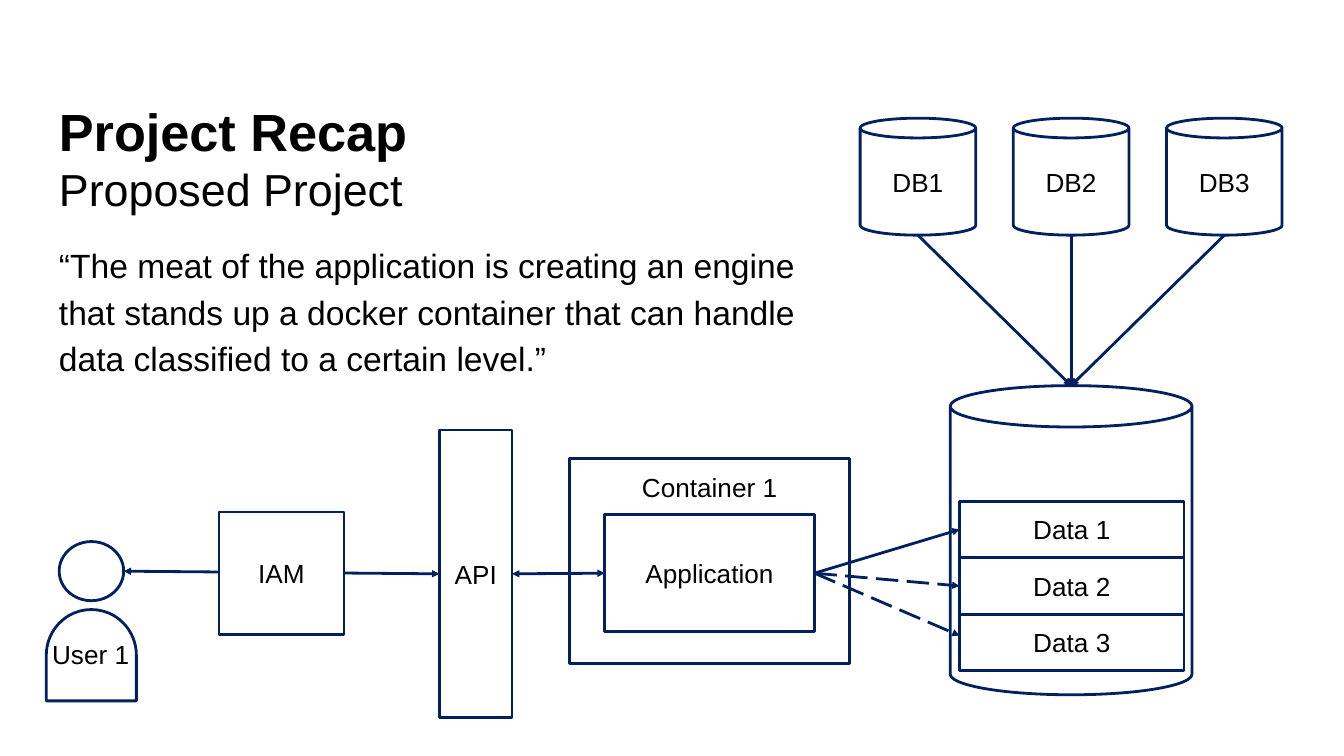
from collections import namedtuple
from dataclasses import dataclass

from lxml import etree
from pptx import Presentation
from pptx import util as u
from pptx.dml.color import RGBColor
from pptx.enum import dml, shapes, text
from pptx.oxml import ns

Point = namedtuple("Point", "x y")


@dataclass(frozen=True)
class Theme:
    navy: RGBColor = RGBColor(0x00, 0x20, 0x60)
    white: RGBColor = RGBColor(0xFF, 0xFF, 0xFF)
    black: RGBColor = RGBColor(0, 0, 0)
    font: str = "Arial"
    title: int = 28
    subtitle: int = 24
    body: int = 18
    label: int = 14
    stroke: float = 1.5
    inset: float = 0.1


THEME = Theme()
KIND = shapes.MSO_SHAPE
TOP, MIDDLE = text.MSO_ANCHOR.TOP, text.MSO_ANCHOR.MIDDLE
LEFT, CENTER = text.PP_ALIGN.LEFT, text.PP_ALIGN.CENTER


@dataclass(frozen=True)
class Box:
    x: float
    y: float
    w: float
    h: float

    def inner(self, dx, dy, w, h):
        return Box(self.x + dx, self.y + dy, w, h)

    def at(self, fx, fy):
        return Point(self.x + fx * self.w, self.y + fy * self.h)

    def emu(self):
        return [u.Inches(v) for v in (self.x, self.y, self.w, self.h)]


def set_all(target, values):
    for name, value in values.items():
        setattr(target, name, value)


def style_line(line, dash=None):
    line.color.rgb = THEME.navy
    set_all(line, {"width": u.Pt(THEME.stroke), "dash_style": dash})


def write(sp, runs, anchor=MIDDLE, align=CENTER, spacing=None):
    tf = sp.text_frame
    margin = u.Inches(THEME.inset)
    set_all(tf, {"word_wrap": True, "vertical_anchor": anchor,
                 "margin_left": margin, "margin_right": margin,
                 "margin_top": margin, "margin_bottom": margin})
    p = tf.paragraphs[0]
    set_all(p, {"alignment": align, "line_spacing": spacing})
    for i, (words, size, bold) in enumerate(runs):
        if i:
            p.add_line_break()
        r = p.add_run()
        r.text = words
        set_all(r.font, {"name": THEME.font, "size": u.Pt(size), "bold": bold})
        r.font.color.rgb = THEME.black


def add_text(s, box, runs, **layout):
    write(s.shapes.add_textbox(*box.emu()), runs, **layout)


def add_node(s, kind, box, label=None, anchor=MIDDLE):
    sp = s.shapes.add_shape(kind, *box.emu())
    sp.shadow.inherit = False
    sp.fill.solid()
    sp.fill.fore_color.rgb = THEME.white
    style_line(sp.line)
    if kind == KIND.CAN:
        sp.adjustments[0] = 0.171
    if label:
        write(sp, [(label, THEME.label, False)], anchor)
    return sp


def add_arrow(s, start, end, both=False, dash=None):
    ends = [u.Inches(v) for v in (*start, *end)]
    line = s.shapes.add_connector(shapes.MSO_CONNECTOR.STRAIGHT, *ends)
    style_line(line.line, dash)
    ln = line.line._get_or_add_ln()
    for tag in ("a:headEnd", "a:tailEnd") if both else ("a:tailEnd",):
        etree.SubElement(ln, ns.qn(tag), type="triangle", w="sm", len="sm")
    etree.SubElement(line._element.spPr, ns.qn("a:effectLst"))


def add_heading(s, box):
    add_text(s, box.inner(0, 0, box.w, 0.96),
             [("Project Recap", THEME.title, True),
              ("Proposed Project", THEME.subtitle, False)],
             anchor=TOP, align=LEFT)
    quote = ("“The meat of the application is creating an engine that stands up "
             "a docker container that can handle data classified to a certain level.”")
    add_text(s, box.inner(0, 1.04, 5.98, 1.18), [(quote, THEME.body, False)],
             anchor=TOP, align=LEFT, spacing=1.15)


def add_user(s, box):
    torso = add_node(s, KIND.FLOWCHART_DELAY, box.inner(0.13, 0.51, 0.68, 0.67))
    torso.rotation = 270
    head = box.inner(0.23, 0, 0.48, 0.44)
    add_node(s, KIND.OVAL, head)
    add_text(s, box.inner(0, 0.62, box.w, 0.47),
             [("User 1", THEME.label, False)], anchor=TOP)
    return head.at(1, 0.5)


def add_pipeline(s, box, user):
    container = box.inner(2.61, 0.21, 2.08, 1.53)
    application = container.inner(0.26, 0.42, 1.56, 0.87)
    api = box.inner(1.64, 0, 0.54, box.h)
    add_node(s, KIND.RECTANGLE, container, "Container 1", TOP)
    add_node(s, KIND.RECTANGLE, api, "API")
    add_node(s, KIND.RECTANGLE, application, "Application")
    add_arrow(s, user, api.at(0, 0.5), both=True)
    add_node(s, KIND.RECTANGLE, box.inner(0, 0.61, 0.93, 0.91), "IAM")
    add_arrow(s, api.at(1, 0.5), application.at(0, 0.5), both=True)
    return application.at(1, 0.5)


def add_store(s, box, application):
    add_node(s, KIND.CAN, box)
    dash = dml.MSO_LINE.LONG_DASH
    row_h = 0.42
    links = [(0.5, None), (0.5, dash), (0.38, dash)]
    for i, (height, style) in enumerate(links):
        row = box.inner(0.07, 0.86 + i * row_h, 1.67, row_h)
        add_node(s, KIND.RECTANGLE, row, f"Data {i + 1}")
        add_arrow(s, application, row.at(0, height), dash=style)
    return box.at(0.5, 0)


def add_databases(s, box, target):
    count, width = 3, 0.86
    step = (box.w - width) / (count - 1)
    for i in range(count):
        can = box.inner(i * step, 0, width, box.h)
        add_node(s, KIND.CAN, can, f"DB{i + 1}")
        add_arrow(s, can.at(0.5, 1), target)


def main():
    prs = Presentation()
    width = u.Inches(10)
    set_all(prs, {"slide_width": width, "slide_height": width * 9 // 16})
    s = prs.slides.add_slide(prs.slide_layouts[6])
    add_heading(s, Box(0.34, 0.64, 9.32, 2.22))
    user = add_user(s, Box(0.21, 4.03, 0.93, 1.18))
    application = add_pipeline(s, Box(1.63, 3.2, 4.69, 2.14), user)
    store = add_store(s, Box(7.07, 2.87, 1.8, 2.3), application)
    add_databases(s, Box(6.4, 0.88, 3.14, 0.87), store)
    prs.save("out.pptx")


if __name__ == "__main__":
    main()
